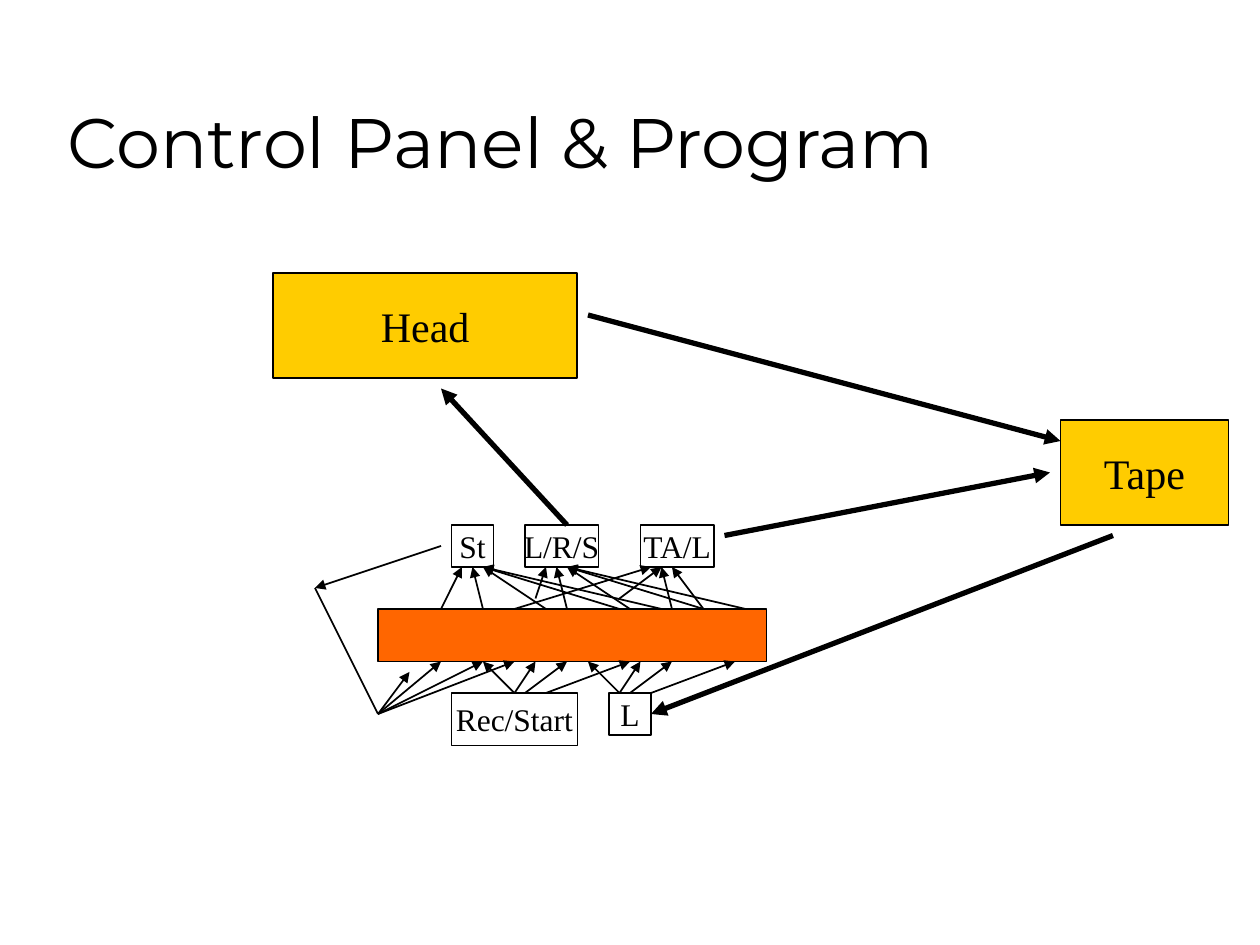
from lxml import etree
from pptx import Presentation
from pptx import util as u
from pptx.dml.color import RGBColor
from pptx.enum import shapes, text
from pptx.oxml.ns import qn

BLACK = RGBColor(0x00, 0x00, 0x00)
WHITE = RGBColor(0xFF, 0xFF, 0xFF)
ORANGE = RGBColor(0xFF, 0x66, 0x00)
YELLOW = RGBColor(0xFF, 0xCC, 0x00)

# The diagram lies on a grid of twelfths of an inch
CELL = u.Inches(1) / 12

# Boxes: label, (left, top, width, height) in grid cells, fill, text size
BOXES = [
    ("", (36, 58, 37, 5), ORANGE, 18),
    ("Rec/Start", (43, 66, 12, 5), WHITE, 18),
    ("L", (58, 66, 4, 4), WHITE, 18),
    ("L/R/S", (50, 50, 7, 4), WHITE, 18),
    ("St", (43, 50, 4, 4), WHITE, 18),
    ("TA/L", (61, 50, 7, 4), WHITE, 18),
    ("Tape", (101, 40, 16, 10), YELLOW, 24),
    ("Head", (26, 26, 29, 10), YELLOW, 24),
]

# Program bar to control panel: tip on the panel, then the starting points
PANEL_TIPS = [
    ((44, 54), [(42, 58)]),
    ((45, 54), [(46, 58)]),
    ((46, 54), [(63, 58), (59, 58), (52, 58)]),
    ((52, 54), [(51, 57)]),
    ((53, 54), [(54, 58)]),
    ((54, 54), [(71, 58), (67, 58), (60, 58)]),
    ((62, 54), [(49, 58)]),
    ((63, 54), [(59, 57), (64, 58)]),
    ((64, 54), [(67, 58)]),
]

# Inputs to program bar: starting point, then the tips
INPUT_STARTS = [
    ((36, 68), [(39, 64), (42, 63), (46, 63), (49, 63)]),
    ((49, 66), [(46, 63), (51, 63)]),
    ((50, 66), [(54, 63)]),
    ((52, 66), [(60, 63)]),
    ((59, 66), [(56, 63), (61, 63)]),
    ((60, 66), [(64, 63)]),
    ((62, 66), [(70, 63)]),
]

# State loop, and the thick arrows between the machine's parts
LOOP_ARROW = ((42, 52), (30, 56))
LOOP_LINE = ((30, 56), (36, 68))
THICK_ARROWS = [
    ((106, 51), (62, 68)),
    ((69, 51), (100, 45)),
    ((54, 50), (42, 37)),
    ((56, 30), (101, 42)),
]


def grid(*cells):
    return [u.Emu(round(cell * CELL)) for cell in cells]


def write(shape, words, font="Times New Roman", size=18, wrap=False,
          align=text.PP_ALIGN.CENTER, anchor=text.MSO_ANCHOR.MIDDLE):
    frame = shape.text_frame
    frame.word_wrap = wrap
    frame.vertical_anchor = anchor
    para = frame.paragraphs[0]
    para.alignment = align
    span = para.add_run()
    span.text = words
    span.font.name = font
    span.font.size = u.Pt(size)
    span.font.color.rgb = BLACK


def add_box(page, label, place, fill, size):
    box = page.shapes.add_shape(shapes.MSO_SHAPE.RECTANGLE, *grid(*place))
    box.shadow.inherit = False
    box.fill.solid()
    box.fill.fore_color.rgb = fill
    box.line.color.rgb = BLACK
    box.line.width = u.Pt(1)
    if label:
        write(box, label, size=size)
    return box


def side_middles(left, top, width, height):
    """Middles in connection order: top, left, bottom, right."""
    middle, centre = left + width / 2, top + height / 2
    return [(middle, top), (left, centre),
            (middle, top + height), (left + width, centre)]


def add_line(page, joints, start, end, width=1, arrow=True):
    line = page.shapes.add_connector(
        shapes.MSO_CONNECTOR.STRAIGHT, *grid(*start, *end))
    line.line.color.rgb = BLACK
    line.line.width = u.Pt(width)
    if arrow:
        outline = line.line._get_or_add_ln()
        etree.SubElement(outline, qn("a:tailEnd"), type="triangle")
    etree.SubElement(line._element.spPr, qn("a:effectLst"))
    if start in joints:
        line.begin_connect(*joints[start])
    if end in joints:
        line.end_connect(*joints[end])


def main():
    deck = Presentation()
    deck.slide_width, deck.slide_height = u.Inches(10), u.Inches(7.5)
    page = deck.slides.add_slide(deck.slide_layouts[6])

    # Title
    title = page.shapes.add_textbox(
        u.Inches(0.44), u.Inches(0.25), u.Inches(8.5), u.Inches(1.25))
    write(title, "Control Panel & Program", font="Montserrat", size=40,
          wrap=True, align=text.PP_ALIGN.LEFT, anchor=text.MSO_ANCHOR.BOTTOM)

    # Boxes, remembering the side middles where lines can join
    joints = {}
    for label, place, fill, size in BOXES:
        box = add_box(page, label, place, fill, size)
        for side, point in enumerate(side_middles(*place)):
            joints[point] = (box, side)

    # Thin arrows and the state loop
    arrows = [(start, tip) for tip, starts in PANEL_TIPS for start in starts]
    arrows += [(start, tip) for start, tips in INPUT_STARTS for tip in tips]
    for start, tip in arrows + [LOOP_ARROW]:
        add_line(page, joints, start, tip)
    add_line(page, joints, *LOOP_LINE, arrow=False)

    # Thick arrows
    for start, tip in THICK_ARROWS:
        add_line(page, joints, start, tip, width=3)

    deck.save("out.pptx")


if __name__ == "__main__":
    main()
